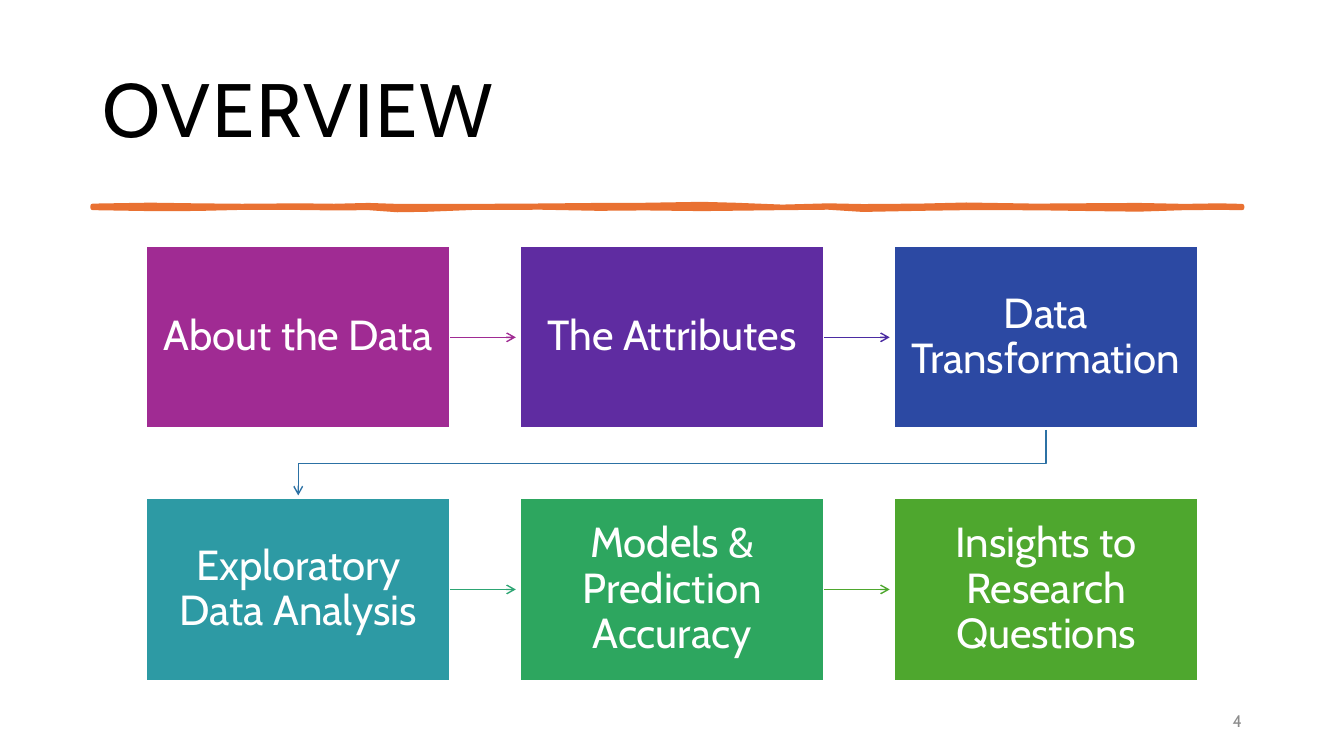
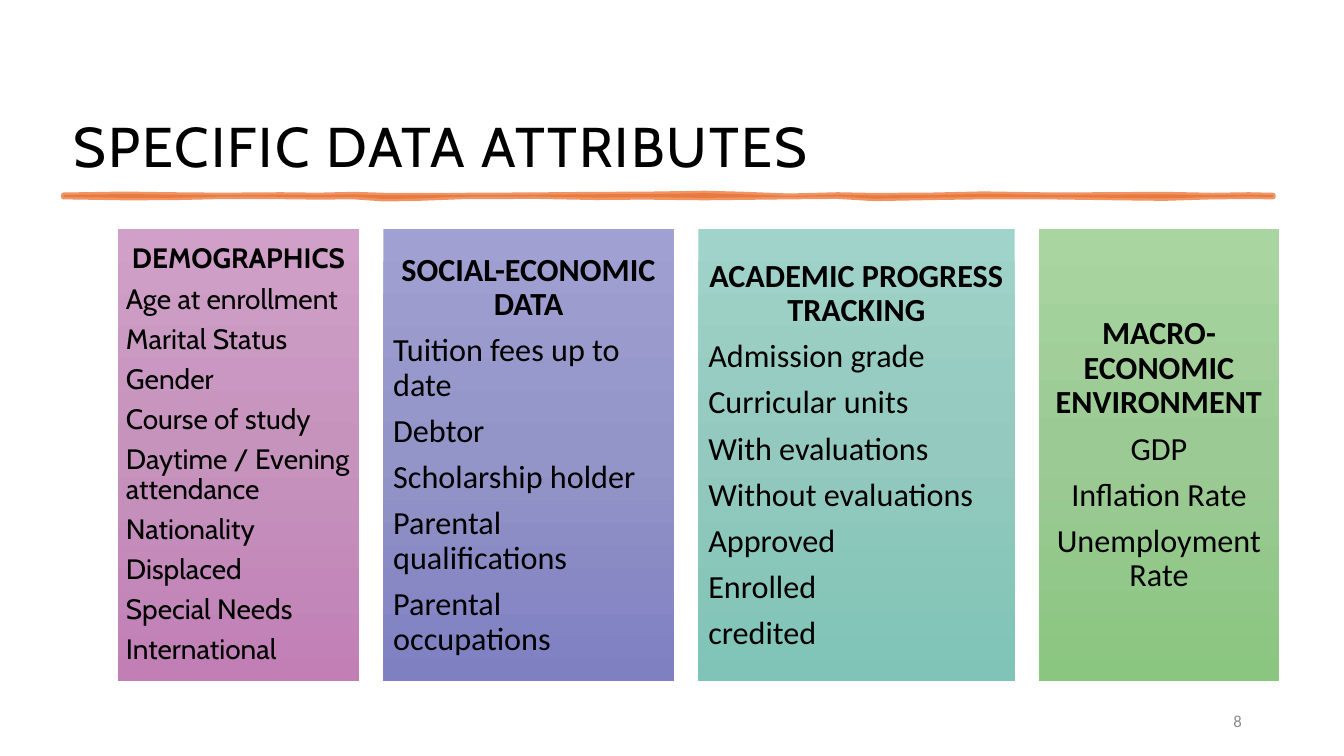
from collections import namedtuple
from copy import deepcopy
from dataclasses import dataclass

from lxml.etree import SubElement
from pptx import Presentation
from pptx.dml.color import RGBColor
from pptx.enum.shapes import MSO_CONNECTOR as Link, MSO_SHAPE as Preset
from pptx.enum.text import MSO_ANCHOR as Anchor, PP_ALIGN as Align
from pptx.oxml.ns import qn
from pptx.util import Pt

Box = namedtuple("Box", "left top width height")
Step = namedtuple("Step", "label fill arrow")
Group = namedtuple("Group", "width heading items stops font size inset align")


@dataclass(frozen=True)
class Theme:
    font: str = "Cabin"
    alt_font: str = "Calibri"
    ink: str = "000000"
    paper: str = "FFFFFF"
    accent: str = "E97132"
    muted: str = "8C8C8C"
    step_size: float = 30
    page_size: float = 12
    title_spacing: float = 1.5
    line_spacing: float = 0.9
    after_ratio: float = 0.35


THEME = Theme()
PAGE = Box(0, 0, 960, 540)
PAGE_NUMBER = Box(678.2, 500.4, 216, 28.8)

# Brush outline: fraction of the width, rise above and drop below the centre
BRUSH = [
    (0, 0.7, 0.7), (0.05, 1.4, 1.4), (0.09, 0.9, 1.3), (0.13, 0.6, 0.5),
    (0.18, 0.9, 0.6), (0.21, 0.6, 0.9), (0.24, 1.2, 0.7), (0.265, 0.5, 2.2),
    (0.29, 0.5, 1.9), (0.33, 0.5, 0.6), (0.39, 0.8, 0.4), (0.44, 1.2, 1.2),
    (0.48, 1.3, 0.9), (0.53, 2, 1.4), (0.56, 1.3, 1.1), (0.6, 0, 0.7),
    (0.64, 0.9, 0.4), (0.67, 0.4, 2), (0.72, 0.7, 1.2), (0.76, 1.5, 0.7),
    (0.82, 0.7, 0.8), (0.87, 1, 1.4), (0.91, 1.2, 1.8), (0.95, 0.5, 0.7),
    (0.98, 0.9, 0.5), (1, 0.5, 0.7),
]

STEPS = [
    Step("About the Data", "A02B93", "A02B93"),
    Step("The Attributes", "5F2CA1", "4B2CA2"),
    Step("Data Transformation", "2C49A3", "2C71A4"),
    Step("Exploratory Data Analysis", "2D9AA4", "2DA573"),
    Step("Models & Prediction Accuracy", "2DA65F", "4EA72E"),
    Step("Insights to Research Questions", "4EA72E", None),
]

GROUPS = [
    Group(172, "DEMOGRAPHICS",
          ["Age at enrollment", "Marital Status", "Gender", "Course of study",
           "Daytime / Evening attendance", "Nationality", "Displaced",
           "Special Needs", "International"],
          ["D0A0C8", "C693BD", "C17FB6"], THEME.font, 20, 5.6, Align.LEFT),
    Group(207.6, "SOCIAL-ECONOMIC DATA",
          ["Tuition fees up to date", "Debtor", "Scholarship holder",
           "Parental qualifications", "Parental occupations"],
          ["A0A0D2", "9394C7", "7F80C2"], THEME.alt_font, 23, 7.2, Align.LEFT),
    Group(226, "ACADEMIC PROGRESS TRACKING",
          ["Admission grade", "Curricular units", "With evaluations",
           "Without evaluations", "Approved", "Enrolled", "credited"],
          ["A0D3C9", "93C9BE", "7FC4B7"], THEME.alt_font, 23, 7.2, Align.LEFT),
    Group(171.4, "MACRO-ECONOMIC ENVIRONMENT",
          ["GDP", "Inflation Rate", "Unemployment Rate"],
          ["A8D5A0", "9CCA94", "8AC680"], THEME.alt_font, 23, 7.2, Align.CENTER),
]


def rgb(value):
    return RGBColor.from_string(value)


def points(box):
    return [Pt(length) for length in box]


def write(frame, text, *, size, font=THEME.font, color=THEME.ink, bold=False,
          align=Align.LEFT, spacing=None, after=0, tracking=0):
    """Fill the empty first paragraph of the frame, or add another one."""
    paragraph = frame.paragraphs[0]
    if paragraph.runs:
        paragraph = frame.add_paragraph()
    paragraph.alignment = align
    paragraph.space_after = Pt(after)
    if spacing:
        paragraph.line_spacing = spacing
    run = paragraph.add_run()
    run.text = text
    run.font.name, run.font.size, run.font.bold = font, Pt(size), bold
    run.font.color.rgb = rgb(color)
    if tracking:
        run.font._element.set("spc", str(int(tracking * 100)))


def prepare_frame(frame, anchor=Anchor.MIDDLE, inset_x=7.2, inset_y=3.6):
    frame.word_wrap = True
    frame.vertical_anchor = anchor
    frame.margin_left = frame.margin_right = Pt(inset_x)
    frame.margin_top = frame.margin_bottom = Pt(inset_y)
    return frame


def add_text(slide, box, text, anchor=Anchor.MIDDLE, **style):
    area = slide.shapes.add_textbox(*points(box))
    write(prepare_frame(area.text_frame, anchor), text, **style)


def add_panel(slide, box):
    panel = slide.shapes.add_shape(Preset.RECTANGLE, *points(box))
    panel.shadow.inherit = False
    return panel


def add_outline(slide, vertices, close):
    start, *rest = [(Pt(x), Pt(y)) for x, y in vertices]
    builder = slide.shapes.build_freeform(*start)
    builder.add_line_segments(rest, close=close)
    outline = builder.convert_to_shape()
    outline.shadow.inherit = False
    return outline


def add_brush_rule(slide, left, middle, width, weight, opacity=100):
    upper = [(left + at * width, middle - rise) for at, rise, _ in BRUSH]
    lower = [(left + at * width, middle + drop) for at, _, drop in BRUSH]
    rule = add_outline(slide, upper + lower[::-1], close=True)
    rule.fill.solid()
    rule.fill.fore_color.rgb = rgb(THEME.accent)
    rule.line.color.rgb = rgb(THEME.accent)
    rule.line.width = Pt(weight)
    SubElement(rule.line._get_or_add_ln(), qn("a:round"))
    if opacity < 100:
        for color in rule._element.spPr.iter(qn("a:srgbClr")):
            SubElement(color, qn("a:alpha")).set("val", str(opacity * 1000))


def style_arrow(arrow, color):
    arrow.line.color.rgb = rgb(color)
    arrow.line.width = Pt(1)
    SubElement(arrow.line._get_or_add_ln(), qn("a:tailEnd")).set("type", "arrow")


def add_step(slide, box, step):
    panel = add_panel(slide, box)
    panel.fill.solid()
    panel.fill.fore_color.rgb = rgb(step.fill)
    panel.line.color.rgb = rgb(THEME.paper)
    panel.line.width = Pt(1.5)
    write(prepare_frame(panel.text_frame, inset_x=10.8, inset_y=11.5), step.label,
          size=THEME.step_size, color=THEME.paper, align=Align.CENTER,
          spacing=THEME.line_spacing, after=THEME.step_size * THEME.after_ratio)
    return panel


def add_flow(slide, box, columns=3, gap_x=49.8, gap_y=49.8, clearance=3):
    """Lay the steps out row by row, each with an arrow to the next."""
    rows = len(STEPS) // columns
    width = (box.width - gap_x * (columns - 1)) / columns
    height = (box.height - gap_y * (rows - 1)) / rows
    cells = [Box(box.left + (i % columns) * (width + gap_x),
                 box.top + (i // columns) * (height + gap_y), width, height)
             for i in range(len(STEPS))]
    panels = [add_step(slide, cell, step) for cell, step in zip(cells, STEPS)]
    for step, panel, cell, target in zip(STEPS, panels, cells, cells[1:]):
        if cell.top == target.top:
            y = Pt(cell.top + height / 2)
            arrow = slide.shapes.add_connector(
                Link.STRAIGHT, Pt(cell.left + width), y,
                Pt(target.left - clearance), y)
            arrow.begin_connect(panel, 3)
            SubElement(arrow._element.spPr, qn("a:effectLst"))
        else:
            start_x, end_x = cell.left + width / 2, target.left + width / 2
            bottom = cell.top + height
            turn = bottom + gap_y / 2
            arrow = add_outline(slide, [
                (start_x, bottom + 1), (start_x, turn), (end_x, turn),
                (end_x, target.top - clearance + 1)], close=False)
            arrow.fill.background()
        style_arrow(arrow, step.arrow)


def fill_downward(panel, colors):
    panel.fill.gradient()
    panel.fill.gradient_angle = 270
    first = next(panel._element.spPr.iter(qn("a:gs")))
    first.addnext(deepcopy(first))
    for i, (stop, color) in enumerate(zip(panel.fill.gradient_stops, colors)):
        stop.position = i / (len(colors) - 1)
        stop.color.rgb = rgb(color)


def add_group(slide, box, group):
    panel = add_panel(slide, box)
    fill_downward(panel, group.stops)
    panel.line.fill.background()
    frame = prepare_frame(panel.text_frame, inset_x=group.inset, inset_y=group.inset)
    style = dict(size=group.size, font=group.font, spacing=THEME.line_spacing,
                 after=group.size * THEME.after_ratio)
    write(frame, group.heading, bold=True, align=Align.CENTER, **style)
    for item in group.items:
        write(frame, item, align=group.align, **style)


def add_groups(slide, box):
    gap = (box.width - sum(group.width for group in GROUPS)) / (len(GROUPS) - 1)
    left = box.left
    for group in GROUPS:
        add_group(slide, Box(left, box.top, group.width, box.height), group)
        left += group.width + gap


def add_base(deck, title, title_box, title_size, anchor, number, number_font):
    """Start a blank slide with its title and page number."""
    slide = deck.slides.add_slide(deck.slide_layouts[6])
    add_text(slide, title_box, title, anchor, size=title_size,
             spacing=THEME.line_spacing, tracking=THEME.title_spacing)
    add_text(slide, PAGE_NUMBER, number, size=THEME.page_size, font=number_font,
             color=THEME.muted, align=Align.RIGHT, after=6)
    return slide


def add_overview(deck):
    slide = add_base(deck, "OVERVIEW", Box(66.2, 28.8, 828, 104.4), 54,
                     Anchor.MIDDLE, "4", THEME.font)
    add_brush_rule(slide, 66.2, 147.8, 821, 3.25)
    add_flow(slide, Box(104.4, 175.8, 751.4, 310.4))


def add_attributes(deck):
    slide = add_base(deck, "SPECIFIC DATA ATTRIBUTES", Box(45.4, 18.7, 869.8, 113),
                     40, Anchor.BOTTOM, "8", THEME.alt_font)
    add_brush_rule(slide, 45.4, 140, 864, 3.5, opacity=75)
    add_groups(slide, Box(84.4, 163.5, 829.2, 323.3))


def main():
    deck = Presentation()
    deck.slide_width, deck.slide_height = Pt(PAGE.width), Pt(PAGE.height)
    add_overview(deck)
    add_attributes(deck)
    deck.save("out.pptx")


if __name__ == "__main__":
    main()
